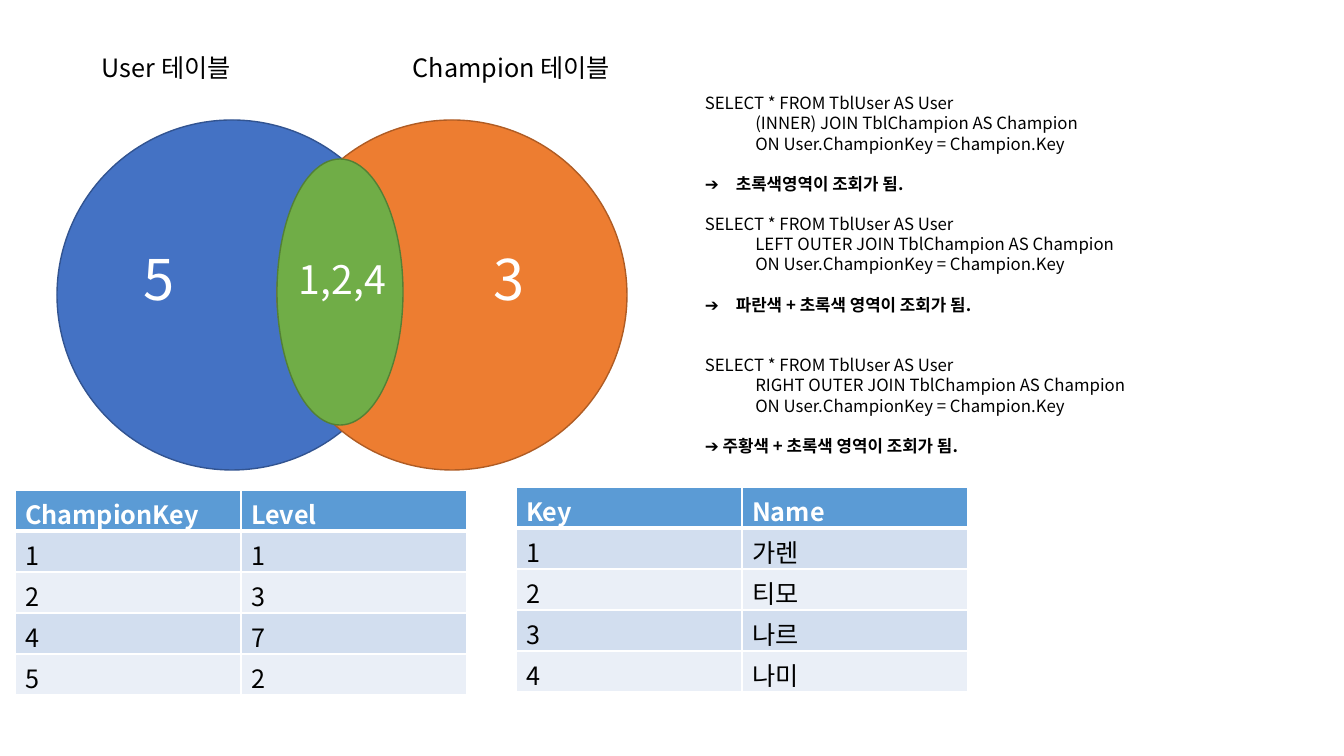
from lxml import etree
from pptx import Presentation
from pptx.dml.color import RGBColor
from pptx.enum.shapes import MSO_SHAPE as Shape
from pptx.oxml.ns import qn
from pptx.util import Emu, Pt

FONT = "Noto Sans CJK KR"
BLACK = RGBColor(0x00, 0x00, 0x00)
WHITE = RGBColor(0xFF, 0xFF, 0xFF)
BLUE, BLUE_EDGE = RGBColor(0x44, 0x72, 0xC4), RGBColor(0x32, 0x54, 0x91)
ORANGE, ORANGE_EDGE = RGBColor(0xED, 0x7D, 0x31), RGBColor(0xAF, 0x5C, 0x24)
GREEN, GREEN_EDGE = RGBColor(0x70, 0xAD, 0x47), RGBColor(0x53, 0x80, 0x35)
HEADER = RGBColor(0x5B, 0x9B, 0xD5)
BANDS = RGBColor(0xD2, 0xDE, 0xEF), RGBColor(0xEA, 0xEF, 0xF7)

# Boxes are left, top, width, height in px
CIRCLES = [
    ((57, 120, 350, 350), BLUE, BLUE_EDGE),
    ((277, 120, 350, 350), ORANGE, ORANGE_EDGE),
    ((277, 159, 126, 266), GREEN, GREEN_EDGE),
]
LABELS = [
    ("User 테이블", (92, 47, 161, 40), 18, BLACK),
    ("Champion 테이블", (403, 47, 230, 40), 18, BLACK),
    ("5", (134, 240, 56, 78), 40, WHITE),
    ("3", (484, 240, 56, 78), 40, WHITE),
    ("1,2,4", (289, 250, 123, 57), 28, WHITE),
]
TABLES = [
    ((15, 490), [("ChampionKey", "Level"), ("1", "1"), ("2", "3"), ("4", "7"), ("5", "2")]),
    ((516, 487), [("Key", "Name"), ("1", "가렌"), ("2", "티모"), ("3", "나르"), ("4", "나미")]),
]
COLUMN_WIDTH, ROW_HEIGHT = 226, 41
QUERY_BOX = (695, 88, 514, 397)
QUERY_SIZE, QUERY_LINE = 12, 14.4
BULLET_INDENT = 31
# Join, result, whether the arrow is a bullet, blank lines before the query
QUERIES = [
    ("(INNER)", "초록색영역이 조회가 됨.", True, 0),
    ("LEFT OUTER", "파란색 + 초록색 영역이 조회가 됨.", True, 1),
    ("RIGHT OUTER", "주황색 + 초록색 영역이 조회가 됨.", False, 2),
]


def px(length):
    return Emu(round(length * 914400 / 100.8))


def add_run(paragraph, text, size, color, bold=False):
    run = paragraph.add_run()
    run.text = text
    values = {"name": FONT, "size": Pt(size), "bold": bold}
    for name, value in values.items():
        setattr(run.font, name, value)
    run.font.color.rgb = color
    east_asian = etree.SubElement(run.font._element, qn("a:ea"))
    east_asian.set("typeface", FONT)


def add_text_box(slide, box):
    frame = slide.shapes.add_textbox(*map(px, box)).text_frame
    frame.word_wrap = False
    return frame


def add_circle(slide, box, fill, edge):
    shape = slide.shapes.add_shape(Shape.OVAL, *map(px, box))
    shape.shadow.inherit = False
    shape.fill.solid()
    shape.fill.fore_color.rgb = fill
    shape.line.color.rgb = edge
    shape.line.width = Pt(1)


def set_borders(cell, bottom):
    """Draw white cell edges, placed ahead of the fill as the schema asks."""
    properties = cell._tc.get_or_add_tcPr()
    widths = {"lnL": 1, "lnR": 1, "lnT": 1, "lnB": bottom}
    for position, (side, width) in enumerate(widths.items()):
        line = etree.Element(qn(f"a:{side}"), w=str(Pt(width)))
        fill = etree.SubElement(line, qn("a:solidFill"))
        etree.SubElement(fill, qn("a:srgbClr"), val=str(WHITE))
        properties.insert(position, line)


def add_table(slide, corner, rows):
    columns = len(rows[0])
    size = (COLUMN_WIDTH * columns, ROW_HEIGHT * len(rows))
    table = slide.shapes.add_table(len(rows), columns, *map(px, corner + size)).table
    for row_index, row in enumerate(rows):
        header = row_index == 0
        for column_index, text in enumerate(row):
            cell = table.cell(row_index, column_index)
            cell.fill.solid()
            cell.fill.fore_color.rgb = HEADER if header else BANDS[(row_index - 1) % 2]
            set_borders(cell, 3 if header else 1)
            add_run(cell.text_frame.paragraphs[0], text, 18, WHITE if header else BLACK, header)


def make_bullet(paragraph):
    properties = paragraph._p.get_or_add_pPr()
    properties.set("marL", str(px(BULLET_INDENT)))
    properties.set("indent", str(-px(BULLET_INDENT)))
    etree.SubElement(properties, qn("a:buFont"), typeface=FONT)
    etree.SubElement(properties, qn("a:buChar"), char="➔")


def add_queries(slide):
    frame = add_text_box(slide, QUERY_BOX)
    for index, (join, result, bulleted, gap) in enumerate(QUERIES):
        lines = [
            "SELECT * FROM TblUser AS User",
            f"\t{join} JOIN TblChampion AS Champion",
            "\tON User.ChampionKey = Champion.Key",
        ]
        for line_index, line in enumerate(lines):
            first = index == line_index == 0
            paragraph = frame.paragraphs[0] if first else frame.add_paragraph()
            paragraph.line_spacing = Pt(QUERY_LINE)
            if line_index == 0 and gap:
                paragraph.space_before = Pt(QUERY_LINE * gap)
            add_run(paragraph, line, QUERY_SIZE, BLACK)
        paragraph = frame.add_paragraph()
        paragraph.line_spacing = Pt(QUERY_LINE)
        paragraph.space_before = Pt(QUERY_LINE)
        if bulleted:
            make_bullet(paragraph)
        else:
            add_run(paragraph, "➔ ", QUERY_SIZE, BLACK)
        add_run(paragraph, result, QUERY_SIZE, BLACK, True)


def main():
    presentation = Presentation()
    presentation.slide_width, presentation.slide_height = px(1344), px(756)
    slide = presentation.slides.add_slide(presentation.slide_layouts[6])
    for circle in CIRCLES:
        add_circle(slide, *circle)
    for text, box, size, color in LABELS:
        add_run(add_text_box(slide, box).paragraphs[0], text, size, color)
    for corner, rows in TABLES:
        add_table(slide, corner, rows)
    add_queries(slide)
    presentation.save("out.pptx")


if __name__ == "__main__":
    main()
